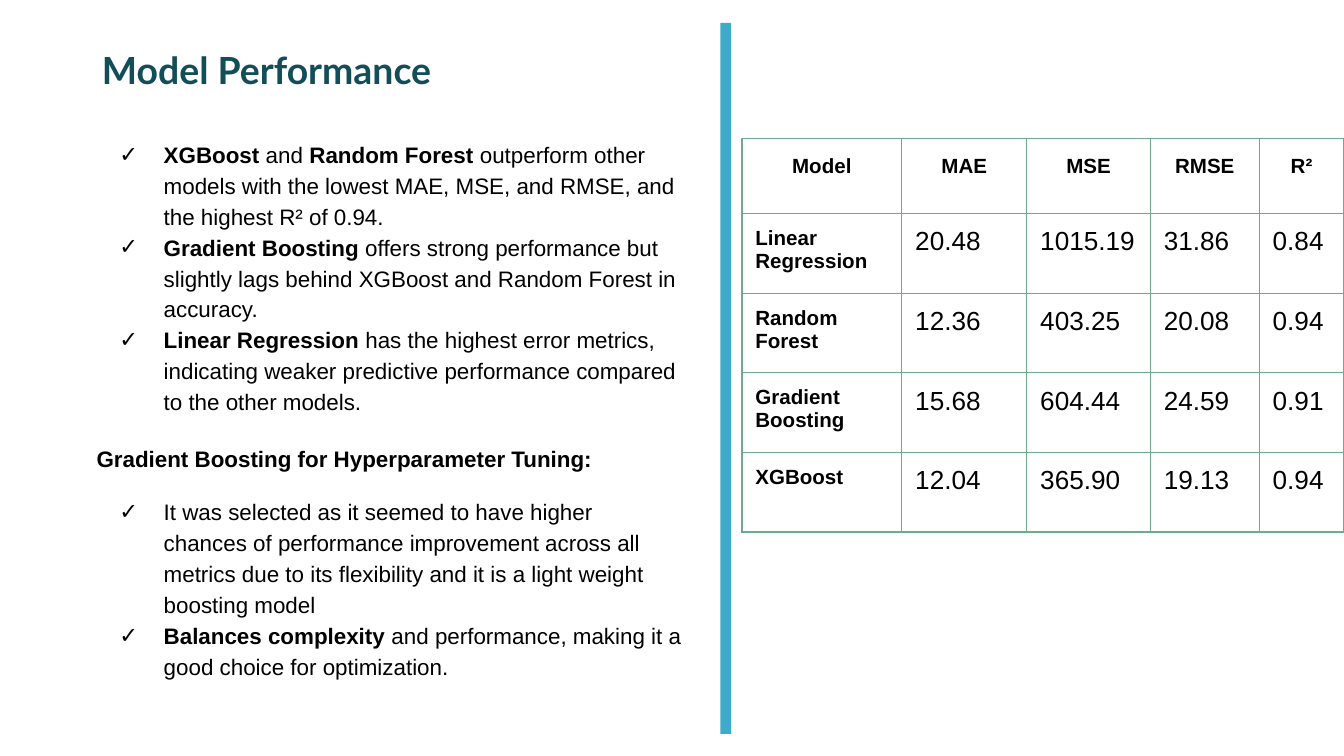
from dataclasses import dataclass

import pptx
import pptx.dml.color
import pptx.enum.shapes
import pptx.enum.text
import pptx.oxml
import pptx.oxml.ns
import pptx.util
from lxml import etree

Inches = pptx.util.Inches
Pt = pptx.util.Pt
RGB = pptx.dml.color.RGBColor.from_string
ALIGN = pptx.enum.text.PP_ALIGN
ANCHOR = pptx.enum.text.MSO_ANCHOR
qn = pptx.oxml.ns.qn


@dataclass(frozen=True)
class Theme:
    heading: str = "134D57"
    text: str = "000000"
    accent: str = "3EABCA"
    border: str = "6BAB90"
    heading_font: str = "Lato"
    body_font: str = "Arial"
    title_size: int = 20
    body_size: int = 12
    label_size: int = 11
    value_size: int = 14
    border_width: float = 0.75
    line_spacing: float = 1.15
    inset: float = 0.1


THEME = Theme()

POINTS = [
    ("XGBoost", " and ", "Random Forest",
     " outperform other models with the lowest MAE, MSE, and RMSE, and the highest R² of 0.94."),
    ("Gradient Boosting",
     " offers strong performance but slightly lags behind XGBoost and Random Forest in accuracy."),
    ("Linear Regression",
     " has the highest error metrics, indicating weaker predictive performance "
     "compared to the other models."),
]
TUNING_HEADING = "Gradient Boosting for Hyperparameter Tuning:"
TUNING_POINTS = [
    ("", "It was selected as it seemed to have higher chances of performance improvement "
         "across all metrics due to its flexibility and it is a light weight boosting model"),
    ("Balances complexity", " and performance, making it a good choice for optimization."),
]
METRICS = [
    ("Model", "MAE", "MSE", "RMSE", "R²"),
    ("Linear Regression", "20.48", "1015.19", "31.86", "0.84"),
    ("Random Forest", "12.36", "403.25", "20.08", "0.94"),
    ("Gradient Boosting", "15.68", "604.44", "24.59", "0.91"),
    ("XGBoost", "12.04", "365.90", "19.13", "0.94"),
]
COL_WIDTHS = [1.19, 0.93, 0.92, 0.81, 0.63]
HEADER_HEIGHT = 0.56


def style_run(r, size, color=THEME.text, font=THEME.body_font, bold=False):
    r.font.size = Pt(size)
    r.font.name = font
    r.font.bold = bold
    r.font.color.rgb = RGB(color)


def set_insets(box):
    box.margin_left = box.margin_right = Inches(THEME.inset)
    box.margin_top = box.margin_bottom = Inches(THEME.inset)


def add_text_frame(slide, left, top, width, height):
    sp = slide.shapes.add_textbox(Inches(left), Inches(top), Inches(width), Inches(height))
    tf = sp.text_frame
    tf.word_wrap = True
    set_insets(tf)
    return tf


def set_bullet(p):
    pPr = p._p.get_or_add_pPr()
    pPr.set("marL", str(Inches(0.5)))
    pPr.set("indent", str(Inches(-0.33)))
    color = etree.SubElement(pPr, qn("a:buClr"))
    etree.SubElement(color, qn("a:srgbClr"), val=THEME.text)
    etree.SubElement(pPr, qn("a:buFont"), typeface=THEME.body_font)
    etree.SubElement(pPr, qn("a:buChar"), char="✓")


def add_title(slide, left, top, width, height):
    tf = add_text_frame(slide, left, top, width, height)
    tf.vertical_anchor = ANCHOR.MIDDLE
    tf.text = "Model Performance"
    style_run(tf.paragraphs[0].runs[0], THEME.title_size, THEME.heading,
              THEME.heading_font, True)


def add_findings(slide, left, top, width, height):
    tf = add_text_frame(slide, left, top, width, height)
    tf.margin_right = Pt(7.5)

    def add_paragraph(parts, before, bullet):
        p = tf.add_paragraph() if tf.text else tf.paragraphs[0]
        p.line_spacing = THEME.line_spacing
        p.space_before = Pt(before)
        if bullet:
            set_bullet(p)
        for i, part in enumerate(parts):
            if part:
                r = p.add_run()
                r.text = part
                style_run(r, THEME.body_size, bold=i % 2 == 0)

    def add_bullets(points):
        for i, parts in enumerate(points):
            add_paragraph(parts, 0 if i else 12, True)

    add_bullets(POINTS)
    add_paragraph((TUNING_HEADING,), 14, False)
    add_bullets(TUNING_POINTS)


def add_divider(slide, left, top, width, height):
    sp = slide.shapes.add_shape(pptx.enum.shapes.MSO_SHAPE.RECTANGLE, Inches(left),
                                Inches(top), Inches(width), Inches(height))
    sp.shadow.inherit = False
    sp.fill.solid()
    sp.fill.fore_color.rgb = RGB(THEME.accent)
    sp.line.fill.background()


def set_borders(cell):
    tcPr = cell._tc.get_or_add_tcPr()
    for i, side in enumerate(("lnL", "lnR", "lnT", "lnB")):
        ln = etree.Element(qn(f"a:{side}"), w=str(Pt(THEME.border_width)))
        fill = etree.SubElement(ln, qn("a:solidFill"))
        etree.SubElement(fill, qn("a:srgbClr"), val=THEME.border)
        tcPr.insert(i, ln)


def add_metrics_table(slide, left, top, height):
    frame = slide.shapes.add_table(len(METRICS), len(COL_WIDTHS), Inches(left), Inches(top),
                                   Inches(sum(COL_WIDTHS)), Inches(height))
    table = frame.table
    table.first_row = table.horz_banding = False
    for col, width in zip(table.columns, COL_WIDTHS):
        col.width = Inches(width)
    row_height = (height - HEADER_HEIGHT) / (len(METRICS) - 1)
    for i, values in enumerate(METRICS):
        table.rows[i].height = Inches(row_height if i else HEADER_HEIGHT)
        for j, value in enumerate(values):
            cell = table.cell(i, j)
            cell.fill.background()
            set_borders(cell)
            set_insets(cell)
            p = cell.text_frame.paragraphs[0]
            p.text = value
            label = i == 0 or j == 0
            style_run(p.runs[0], THEME.label_size if label else THEME.value_size, bold=label)
            if i == 0:
                p.alignment = ALIGN.CENTER
                p.line_spacing = THEME.line_spacing


def main():
    prs = pptx.Presentation()
    prs.slide_width, prs.slide_height = Inches(10), Inches(10 * 9 / 16)
    slide = prs.slides.add_slide(prs.slide_layouts[6])
    add_divider(slide, 5.36, 0.17, 0.08, 5.29)
    add_title(slide, 0.66, 0.21, 4.48, 0.62)
    add_findings(slide, 0.62, 0.92, 4.56, 4.53)
    add_metrics_table(slide, 5.52, 1.03, 2.93)
    prs.save("out.pptx")


if __name__ == "__main__":
    main()
